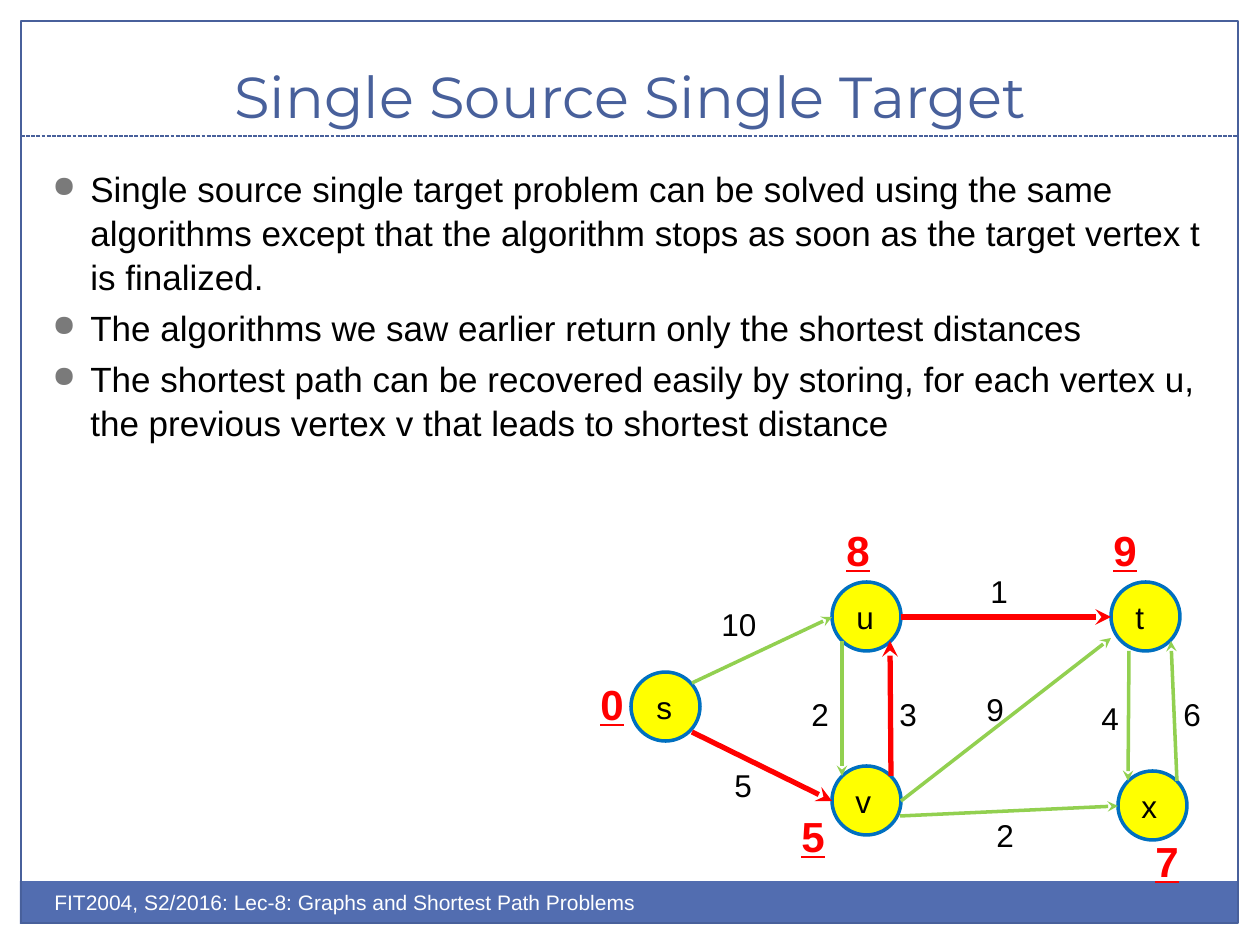
from lxml import etree
from pptx import Presentation
from pptx.dml.color import RGBColor
from pptx.enum.dml import MSO_LINE
from pptx.enum.shapes import MSO_CONNECTOR, MSO_SHAPE
from pptx.enum.text import MSO_ANCHOR, MSO_AUTO_SIZE, PP_ALIGN
from pptx.oxml.ns import qn
from pptx.util import Emu, Pt

EMU_PER_INCH = 914400
PX_PER_INCH = 126
RECTANGLE, ELLIPSE = MSO_SHAPE.RECTANGLE, MSO_SHAPE.OVAL
STRAIGHT = MSO_CONNECTOR.STRAIGHT
DASHED = MSO_LINE.SQUARE_DOT
CENTER = PP_ALIGN.CENTER
TOP, BOTTOM = MSO_ANCHOR.TOP, MSO_ANCHOR.BOTTOM
FIT_SHAPE = MSO_AUTO_SIZE.SHAPE_TO_FIT_TEXT

NAVY = RGBColor(0x48, 0x60, 0x9B)
BAND_BLUE = RGBColor(0x52, 0x6D, 0xB0)
RING_BLUE = RGBColor(0x00, 0x70, 0xC0)
YELLOW = RGBColor(0xFF, 0xFF, 0x00)
GREEN = RGBColor(0x92, 0xD0, 0x50)
RED = RGBColor(0xFF, 0x00, 0x00)
WHITE = RGBColor(0xFF, 0xFF, 0xFF)
BLACK = RGBColor(0x00, 0x00, 0x00)
BULLET_GRAY = "7A7A7A"

VERTEX_SIZE = 69
BULLETS = [
    "Single source single target problem can be solved using the same algorithms "
    "except that the algorithm stops as soon as the target vertex t is finalized.",
    "The algorithms we saw earlier return only the shortest distances",
    "The shortest path can be recovered easily by storing, for each vertex u, "
    "the previous vertex v that leads to shortest distance",
]
# name, vertex left and top, label left, label width
VERTICES = [
    ("v", 832, 766, 843, 42),
    ("u", 832, 582, 844, 43),
    ("x", 1118, 771, 1129, 42),
    ("t", 1111, 582, 1123, 34),
    ("s", 631, 672, 644, 42),
]
OTHER_EDGES = [
    (692, 683, 832, 617),
    (842, 641, 842, 776),
    (1129, 651, 1128, 781),
    (1177, 781, 1171, 641),
    (901, 801, 1111, 638),
    (900, 816, 1118, 806),
]
SHORTEST_PATH = [
    (692, 732, 832, 801),
    (891, 776, 890, 641),
    (901, 617, 1111, 617),
]
# text, left, top, width
WEIGHTS = [
    ("10", 709, 599, 60),
    ("5", 722, 760, 43),
    ("2", 799, 689, 43),
    ("3", 887, 689, 43),
    ("1", 978, 566, 43),
    ("9", 974, 684, 43),
    ("2", 984, 810, 43),
    ("4", 1089, 693, 43),
    ("6", 1171, 689, 43),
]
DISTANCES = [
    ("0", 588, 672),
    ("5", 789, 804),
    ("8", 834, 518),
    ("9", 1101, 518),
    ("7", 1143, 829),
]


def px(length):
    return Emu(round(length * EMU_PER_INCH / PX_PER_INCH))


class SlideBuilder:
    """Holds the text style and the slide being drawn."""

    font_name = "Arial"
    body_size = 20
    label_size = 18
    distance_size = 24

    def __init__(self, slide):
        self.slide = slide

    def shape(self, kind, left, top, width, height, fill=None, line=None, weight=0.75):
        shape = self.slide.shapes.add_shape(kind, px(left), px(top), px(width), px(height))
        shape.shadow.inherit = False
        if fill is None:
            shape.fill.background()
        else:
            shape.fill.solid()
            shape.fill.fore_color.rgb = fill
        if line is None:
            shape.line.fill.background()
        else:
            shape.line.color.rgb = line
            shape.line.width = Pt(weight)

    def line(self, x1, y1, x2, y2, color, weight):
        line = self.slide.shapes.add_connector(STRAIGHT, px(x1), px(y1), px(x2), px(y2))
        line.line.color.rgb = color
        line.line.width = Pt(weight)
        etree.SubElement(line._element.spPr, qn("a:effectLst"))
        return line

    def arrow(self, x1, y1, x2, y2, color, weight):
        outline = self.line(x1, y1, x2, y2, color, weight).line._get_or_add_ln()
        etree.SubElement(outline, qn("a:tailEnd"), type="stealth")

    def text(self, text, left, top, width, height, size, color,
             font_name=font_name, anchor=TOP, align=None):
        box = self.slide.shapes.add_textbox(px(left), px(top), px(width), px(height))
        frame = box.text_frame
        frame.word_wrap = True
        frame.vertical_anchor = anchor
        frame.text = text
        for para in frame.paragraphs:
            para.alignment = align
            for span in para.runs:
                span.font.name = font_name
                span.font.size = Pt(size)
                span.font.color.rgb = color
        return frame

    def label(self, text, left, top, width):
        frame = self.text(text, left, top, width, 50, self.label_size, BLACK)
        frame.word_wrap = False
        frame.auto_size = FIT_SHAPE

    def distance(self, text, left, top):
        frame = self.text(text, left, top, 49, 63, self.distance_size, RED)
        frame.word_wrap = False
        frame.auto_size = FIT_SHAPE
        font = frame.paragraphs[0].runs[0].font
        font.bold = font.underline = True

    def bullets(self, items, left, top, width, height):
        frame = self.text("\n".join(items), left, top, width, height, self.body_size, BLACK)
        for index, para in enumerate(frame.paragraphs):
            para.line_spacing = 1.05
            if index:
                para.space_before = Pt(4)
            properties = para._p.get_or_add_pPr()
            properties.set("marL", str(px(38)))
            properties.set("indent", str(-px(38)))
            color = etree.SubElement(properties, qn("a:buClr"))
            etree.SubElement(color, qn("a:srgbClr"), val=BULLET_GRAY)
            etree.SubElement(properties, qn("a:buSzPct"), val="85000")
            etree.SubElement(properties, qn("a:buChar"), char="●")


def main():
    deck = Presentation()
    deck.slide_width, deck.slide_height = px(1260), px(945)
    page = SlideBuilder(deck.slides.add_slide(deck.slide_layouts[6]))

    page.shape(RECTANGLE, 20, 881, 1218, 43, fill=BAND_BLUE)
    page.shape(RECTANGLE, 21, 21, 1217, 902, line=NAVY)
    page.line(21, 136, 1238, 136, NAVY, 0.75).line.dash_style = DASHED
    page.text("Single Source Single Target", 42, 32, 1176, 104, 33, NAVY,
              font_name="Montserrat", anchor=BOTTOM, align=CENTER)
    page.text("FIT2004, S2/2016: Lec-8: Graphs and Shortest Path Problems",
              42, 883, 630, 50, 12, WHITE)
    page.bullets(BULLETS, 40, 159, 1174, 494)

    for name, left, top, label_left, label_width in VERTICES:
        page.shape(ELLIPSE, left, top, VERTEX_SIZE, VERTEX_SIZE, YELLOW, RING_BLUE, 2)
        page.label(name, label_left, top + 10, label_width)
    for edge in OTHER_EDGES:
        page.arrow(*edge, GREEN, 2)
    for edge in SHORTEST_PATH:
        page.arrow(*edge, RED, 3)
    for weight in WEIGHTS:
        page.label(*weight)
    for distance in DISTANCES:
        page.distance(*distance)

    deck.save("out.pptx")


if __name__ == "__main__":
    main()
